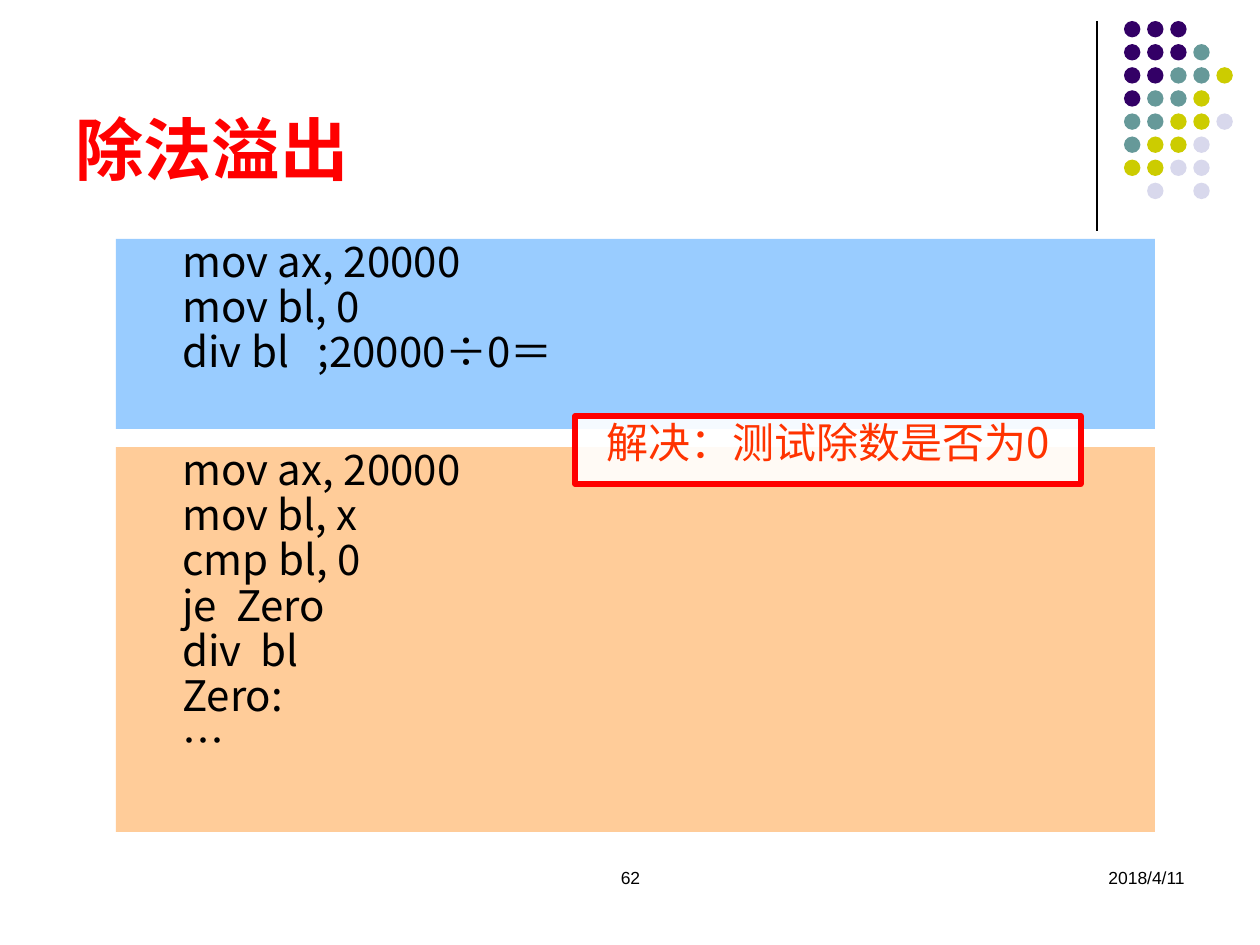
from lxml.etree import SubElement
from pptx import Presentation
from pptx.dml.color import RGBColor
from pptx.enum.shapes import MSO_CONNECTOR, MSO_SHAPE
from pptx.enum.text import MSO_ANCHOR, PP_ALIGN
from pptx.oxml.ns import qn
from pptx.util import Emu, Pt

# Content
TITLE = "除法溢出"
DIVIDE_BY_ZERO = ["mov ax, 20000", "mov bl, 0", "div bl\t;20000÷0＝"]
CHECKED_DIVIDE = ["mov ax, 20000", "mov bl, x", "cmp bl, 0", "je  Zero",
                  "div  bl", "Zero:", "…"]
SOLUTION = "解决：测试除数是否为0"
PAGE, DATE = "62", "2018/4/11"
DOT_ROWS = ["PPP", "PPPT", "PPTTY", "PTTY", "TTYYL", "TYYL", "YYLL", " L L"]

COLORS = {"P": "330066", "T": "669999", "Y": "CCCC00", "L": "D8D8EC",
          "black": "000000", "white": "FFFFFF", "red": "FF0000",
          "orange": "FF3300", "blue": "99CCFF", "peach": "FFCC99"}
CJK, LATIN = "Noto Sans CJK SC", "Arial"

# Layout in px, 126 to the inch
PX = 914400 / 126
DOT_LEFT, DOT_TOP, DOT_SIZE, DOT_PITCH = 1124, 21, 16.4, 23.1
CODE_LEFT, CODE_WIDTH, CODE_INDENT, COMMENT_TAB = 116, 1039, 54, 283


def px(n):
    return Emu(round(n * PX))


def rgb(name):
    return RGBColor.from_string(COLORS[name])


def add_shape(kind, box, fill):
    s = shapes.add_shape(kind, *map(px, box))
    s.shadow.inherit = False
    s.fill.solid()
    s.fill.fore_color.rgb = rgb(fill)
    s.line.fill.background()
    return s


def write(s, lines, size, color, font=CJK, align=PP_ALIGN.LEFT,
          anchor=MSO_ANCHOR.TOP, bold=False):
    tf = s.text_frame
    tf.word_wrap = True
    tf.vertical_anchor = anchor
    tf.text = "\n".join(lines)
    for p in tf.paragraphs:
        p.alignment = align
        for r in p.runs:
            r.font.name, r.font.size, r.font.bold = font, Pt(size), bold
            r.font.color.rgb = rgb(color)
            SubElement(r._r.get_or_add_rPr(), qn("a:ea"), typeface=font)
    return tf


def add_text(box, text, *args, **kwargs):
    write(shapes.add_textbox(*map(px, box)), [text], *args, **kwargs)


def add_code(top, height, fill, lines):
    s = add_shape(MSO_SHAPE.RECTANGLE, (CODE_LEFT, top, CODE_WIDTH, height), fill)
    tf = write(s, lines, 24, "black")
    for i, p in enumerate(tf.paragraphs):
        p.line_spacing = 0.8
        p.space_before = Pt(2.8 if i else 0)
        pPr = p._p.get_or_add_pPr()
        pPr.set("marL", "0")
        pPr.set("indent", str(px(CODE_INDENT)))
        tabs = SubElement(pPr, qn("a:tabLst"))
        SubElement(tabs, qn("a:tab"), pos=str(px(COMMENT_TAB)), algn="l")


prs = Presentation()
prs.slide_width, prs.slide_height = px(1260), px(945)
shapes = prs.slides.add_slide(prs.slide_layouts[6]).shapes

# Corner decoration: rule and dot grid
rule = shapes.add_connector(MSO_CONNECTOR.STRAIGHT, px(1097), px(21), px(1097), px(231))
rule.line.color.rgb = rgb("black")
rule.line.width = Pt(0.75)
SubElement(rule._element.spPr, qn("a:effectLst"))
for row, dots in enumerate(DOT_ROWS):
    for col, dot in enumerate(dots):
        if dot != " ":
            add_shape(MSO_SHAPE.OVAL, (DOT_LEFT + col * DOT_PITCH,
                                       DOT_TOP + row * DOT_PITCH,
                                       DOT_SIZE, DOT_SIZE), dot)

# Footer and title
add_text((431, 861, 399, 63), PAGE, 10, "black", LATIN, PP_ALIGN.CENTER)
add_text((903, 861, 294, 63), DATE, 10, "black", LATIN, PP_ALIGN.RIGHT)
add_text((63, 16, 1040, 179), TITLE, 39, "red", anchor=MSO_ANCHOR.BOTTOM, bold=True)

# Code panels
add_code(239, 190, "blue", DIVIDE_BY_ZERO)
add_code(447, 385, "peach", CHECKED_DIVIDE)

# Solution callout, slightly transparent
callout = add_shape(MSO_SHAPE.RECTANGLE, (575, 416, 506, 68), "white")
SubElement(callout.fill._xPr.find(".//" + qn("a:srgbClr")), qn("a:alpha"), val="90000")
callout.line.color.rgb = rgb("red")
callout.line.width = Pt(3)
tf = write(callout, [SOLUTION], 24, "orange", align=PP_ALIGN.CENTER)
tf.paragraphs[0].line_spacing = 0.9

prs.save("out.pptx")
